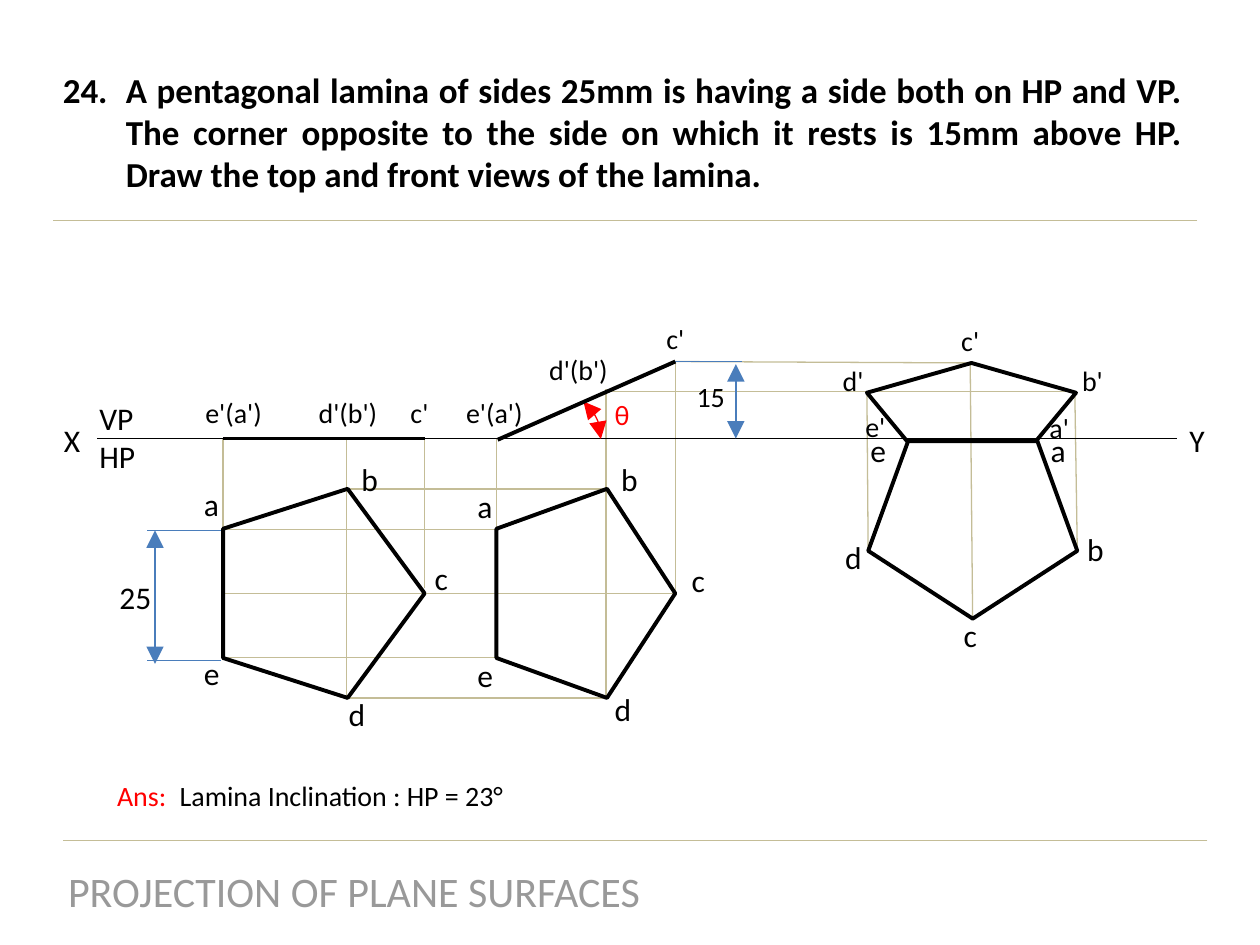
from lxml import etree
from pptx import Presentation
from pptx.dml.color import RGBColor
from pptx.enum.shapes import MSO_CONNECTOR, MSO_SHAPE
from pptx.enum.text import PP_ALIGN
from pptx.oxml.ns import qn
from pptx.util import Pt

STRAIGHT = MSO_CONNECTOR.STRAIGHT
PENTAGON = MSO_SHAPE.REGULAR_PENTAGON
ARC = MSO_SHAPE.ARC
LEFT, CENTER, JUSTIFY = PP_ALIGN.LEFT, PP_ALIGN.CENTER, PP_ALIGN.JUSTIFY

COLORS = {"black": "000000", "tan": "C4BD97", "blue": "4A7DBB",
          "red": "FF0000", "gray": "999999"}
FONT = "Calibri"
THIN, THICK = 0.75, 2.25


def rgb(name):
    return RGBColor.from_string(COLORS[name])


def add_text(paragraph, text, size=18, color="black", bold=False):
    run = paragraph.add_run()
    run.text = text
    run.font.name = FONT
    run.font.size = Pt(size)
    run.font.bold = bold
    run.font.color.rgb = rgb(color)


class Drawing:
    """Places styled elements on the current slide; lengths in points."""

    def __init__(self, slide):
        self.slide = slide

    def box(self, left, top, width, height, align=LEFT, wrap=False):
        shape = self.slide.shapes.add_textbox(Pt(left), Pt(top), Pt(width), Pt(height))
        shape.text_frame.word_wrap = wrap
        paragraph = shape.text_frame.paragraphs[0]
        paragraph.alignment = align
        return shape.text_frame, paragraph

    def label(self, text, left, top, width, size=18, color="black"):
        height = 29 if size == 18 else 26.6
        paragraph = self.box(left, top, width, height)[1]
        add_text(paragraph, text, size=size, color=color)

    def stroke(self, shape, color, weight, arrows):
        shape.line.color.rgb = rgb(color)
        shape.line.width = Pt(weight)
        if arrows:
            line = shape.line._get_or_add_ln()
            for end in ("a:headEnd", "a:tailEnd"):
                etree.SubElement(line, qn(end), type="triangle", w="lg", len="lg")

    def line(self, x1, y1, x2, y2, color="tan", weight=THIN, arrows=False):
        connector = self.slide.shapes.add_connector(
            STRAIGHT, Pt(x1), Pt(y1), Pt(x2), Pt(y2))
        self.stroke(connector, color, weight, arrows)
        etree.SubElement(connector._element.spPr, qn("a:effectLst"))

    def outline(self, kind, left, top, width, height, rotation=0,
                color="black", weight=THICK, arrows=False):
        shape = self.slide.shapes.add_shape(
            kind, Pt(left), Pt(top), Pt(width), Pt(height))
        shape.rotation = rotation
        shape.fill.background()
        self.stroke(shape, color, weight, arrows)
        shape.shadow.inherit = False
        return shape


def add_question(drawing):
    paragraph = drawing.box(28.8, 35.6, 653.8, 80, align=JUSTIFY, wrap=True)[1]
    properties = paragraph._p.get_or_add_pPr()
    properties.set("marL", str(Pt(36)))
    properties.set("indent", str(-Pt(36)))
    bullet_color = etree.SubElement(properties, qn("a:buClr"))
    etree.SubElement(bullet_color, qn("a:srgbClr"), val=COLORS["black"])
    etree.SubElement(properties, qn("a:buAutoNum"), type="arabicPeriod", startAt="24")
    add_text(paragraph, "A pentagonal lamina of sides 25mm is having a side both on HP "
             "and VP. The corner opposite to the side on which it rests is 15mm above "
             "HP. Draw the top and front views of the lamina.", size=20, bold=True)


def add_answer(drawing):
    paragraph = drawing.box(59.8, 441.4, 248.4, 26.6)[1]
    tabs = etree.SubElement(paragraph._p.get_or_add_pPr(), qn("a:tabLst"))
    etree.SubElement(tabs, qn("a:tab"), pos=str(Pt(35.8)), algn="l")
    add_text(paragraph, "Ans:\t", size=16, color="red")
    add_text(paragraph, "Lamina Inclination : HP = 23°", size=16)


def add_projectors(drawing):
    # Vertical projectors: x, bottom, top
    for x, bottom, top in [(127.4, 302.4, 250.6), (198, 399.6, 251.3),
                           (242.6, 336.2, 251.3), (283.7, 377.3, 250.6),
                           (346.3, 398.9, 222.5), (385.9, 339.1, 206.6)]:
        drawing.line(x, bottom, x, top)
    # Horizontal projectors: y, left, right
    for y, left, right in [(339.1, 127.4, 385.9), (375.8, 127.4, 283.7),
                           (302.4, 127.4, 283.7), (398.9, 198.7, 347),
                           (279.4, 198.7, 347), (223.9, 347, 614.2)]:
        drawing.line(left, y, right, y)
    # Slightly slanted projectors of the final views
    for ends in [(385.9, 206.6, 554.4, 207.4), (496.1, 314.6, 495.4, 223.9),
                 (555.8, 353.5, 554.4, 207.4), (615.6, 314.6, 614.2, 223.9)]:
        drawing.line(*ends)


def add_dimensions(drawing):
    for x1, y, x2 in [(84.2, 303.1, 126), (84.2, 377.3, 126), (384.5, 206.6, 424.1)]:
        drawing.line(x1, y, x2, y, color="blue")
    for x, top, bottom in [(88.6, 303.1, 379.4), (420.5, 208.1, 250.6)]:
        drawing.line(x, top, x, bottom, color="blue", arrows=True)
    angle = drawing.outline(ARC, 295.9, 224.6, 47.5, 52.6,
                            color="red", weight=THIN, arrows=True)
    angle.adjustments[0] = 181.63
    drawing.label("25", 61.2, 326.9, 33)
    drawing.label("15", 391, 213.1, 31, size=16)
    drawing.label("θ", 344.2, 223.9, 40.3, size=16, color="red")


def add_views(drawing):
    # Edge views
    drawing.line(242.6, 250.6, 127.4, 250.6, color="black", weight=THICK)
    drawing.line(385.9, 206.6, 284.4, 251.3, color="black", weight=THICK)
    # Pentagon views: left, top, width, height, rotation
    for view in [(125.3, 281.5, 119.5, 115.2, 90), (275, 288, 119.5, 102.2, 90),
                 (496.1, 252, 119.5, 101.5, 180), (495.4, 207.4, 119.5, 44.6, 0)]:
        drawing.outline(PENTAGON, *view)
    # Corner labels of the three top views
    top_views = [
        [(109.4, 273.6), (199.4, 259.2), (241.2, 316.1), (192.2, 393.8), (109.4, 370.1)],
        [(265.7, 275), (347.8, 259.2), (388.1, 316.8), (344.2, 391), (265.7, 371.5)],
        [(593.3, 242.6), (614.2, 299.5), (543.6, 348.5), (475.9, 303.8), (490.3, 242.6)],
    ]
    for corners in top_views:
        for letter, (left, top) in zip("abcde", corners):
            drawing.label(letter, left, top, 22.3 if letter == "c" else 24.5)
    # Corner labels of the front views
    for text, left, top in [
            ("e'(a')", 110.2, 222.5), ("d'(b')", 175, 222.5), ("c'", 227.5, 222.5),
            ("e'(a')", 259.2, 222.5), ("d'(b')", 306.7, 198), ("c'", 373.7, 180),
            ("a'", 592.6, 231.1), ("b'", 611.3, 204.5), ("c'", 542.2, 181.4),
            ("d'", 474.5, 204.5), ("e'", 487.4, 230.4)]:
        drawing.label(text, left, top, 28 if len(text) == 2 else 49, size=16)


def add_reference_line(drawing):
    drawing.line(672.5, 250.6, 55.4, 250.6, color="black")
    drawing.label("X", 29.5, 236.9, 23.8)
    drawing.label("Y", 672.5, 236.9, 23)
    frame, paragraph = drawing.box(49.7, 224.6, 35.3, 51.1)
    add_text(paragraph, "VP")
    add_text(frame.add_paragraph(), "HP")


def main():
    presentation = Presentation()
    presentation.slide_width, presentation.slide_height = Pt(720), Pt(540)
    slide = presentation.slides.add_slide(presentation.slide_layouts[6])
    drawing = Drawing(slide)

    # Heading, rules and footer
    add_question(drawing)
    drawing.line(690, 480.2, 36, 480.2)
    drawing.line(684, 126, 30.2, 126)
    footer = drawing.box(30.2, 491, 344.2, 36, align=CENTER)[1]
    add_text(footer, "PROJECTION OF PLANE SURFACES", size=24, color="gray")

    # Projection drawing
    add_projectors(drawing)
    add_reference_line(drawing)
    add_dimensions(drawing)
    add_views(drawing)
    add_answer(drawing)

    presentation.save("out.pptx")


if __name__ == "__main__":
    main()
